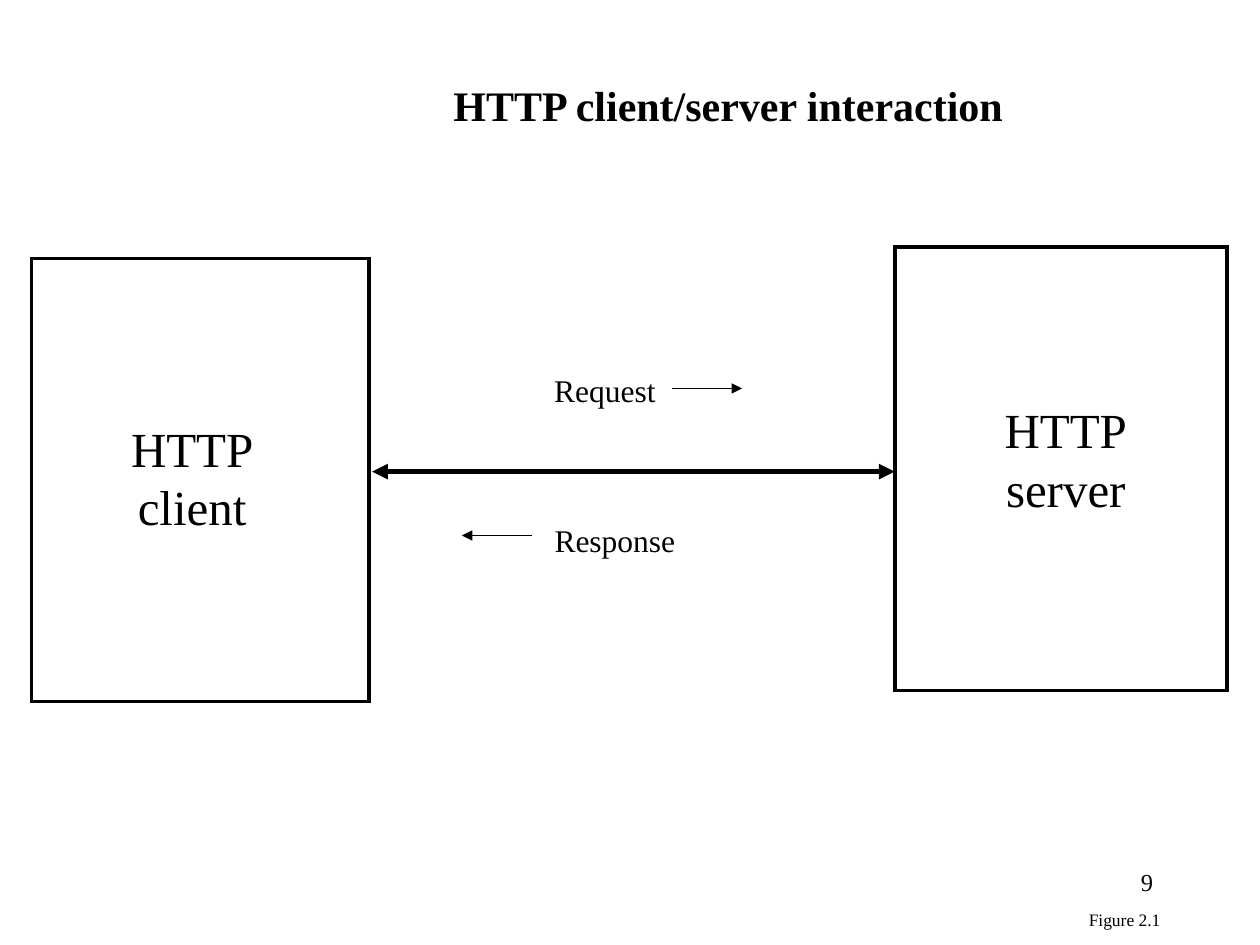
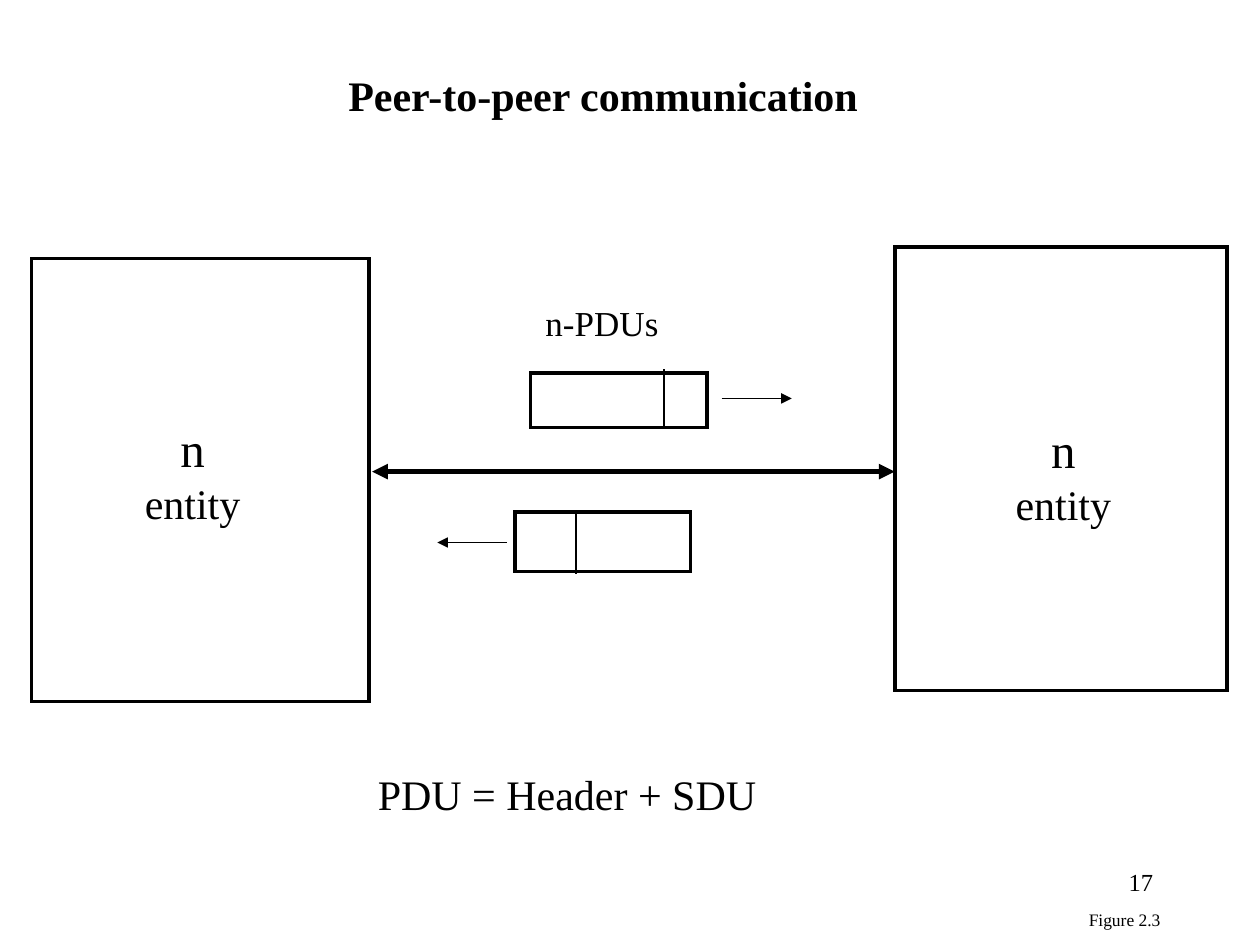
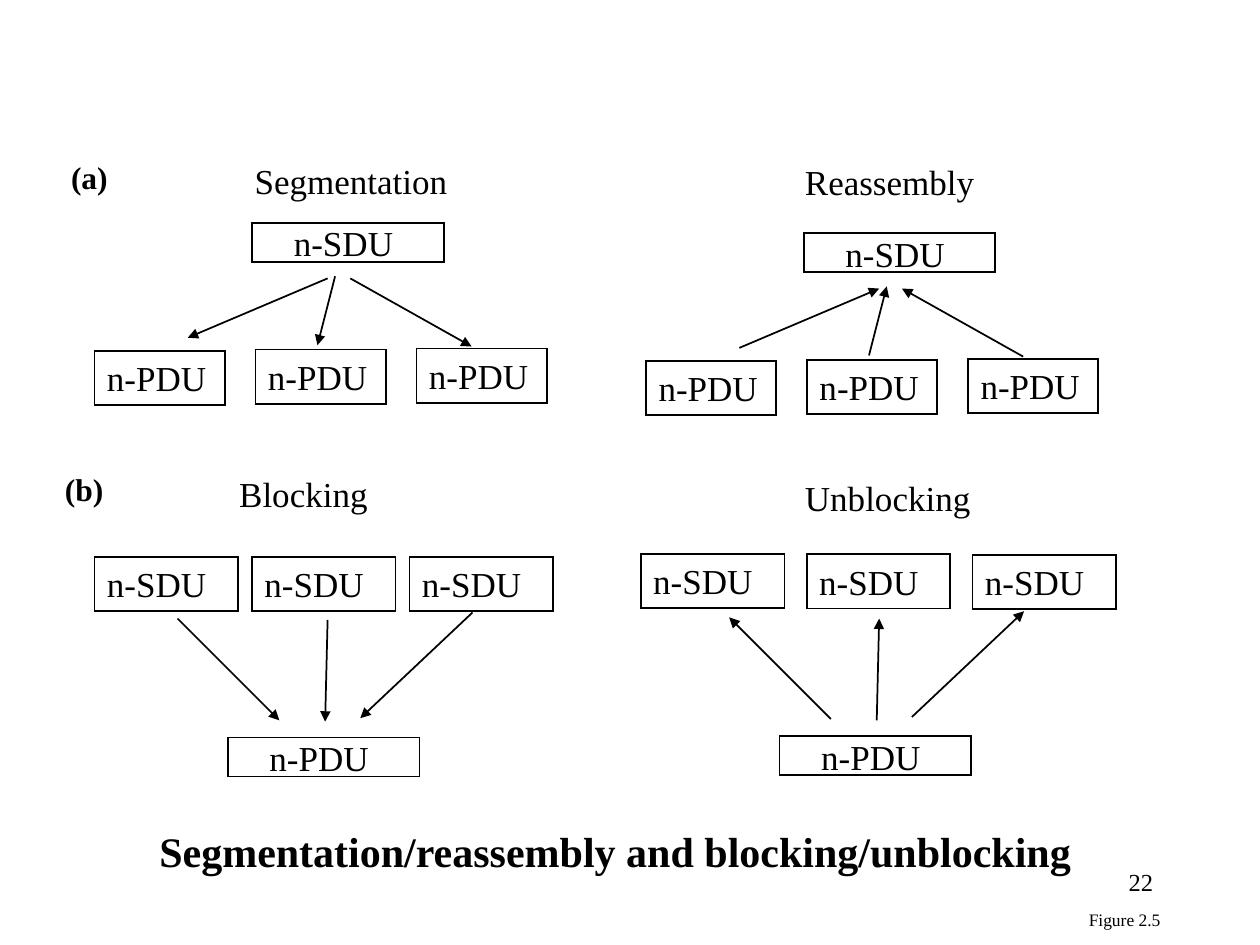
from lxml import etree
from pptx import Presentation
from pptx.dml.color import RGBColor
from pptx.enum.shapes import MSO_CONNECTOR, MSO_SHAPE
from pptx.enum.text import MSO_ANCHOR, MSO_AUTO_SIZE, PP_ALIGN
from pptx.oxml.ns import qn
from pptx.util import Pt

BLACK = RGBColor(0, 0, 0)
WHITE = RGBColor(255, 255, 255)
FONT = "Times New Roman"
LEFT, CENTER, RIGHT = PP_ALIGN.LEFT, PP_ALIGN.CENTER, PP_ALIGN.RIGHT
TOP, MIDDLE = MSO_ANCHOR.TOP, MSO_ANCHOR.MIDDLE
RECT, STRAIGHT = MSO_SHAPE.RECTANGLE, MSO_CONNECTOR.STRAIGHT
GROW, FIXED = MSO_AUTO_SIZE.SHAPE_TO_FIT_TEXT, MSO_AUTO_SIZE.NONE


def put(s, x, y, w, h, text="", sizes=(20,), bold=False, align=LEFT, anchor=TOP,
        before=None, wrap=False, border=None, fill=None, alpha=None):
    """Place text, in an outlined rectangle if a border width is given."""
    frame = tuple(Pt(v) for v in (x, y, w, h))
    if border:
        sp = s.shapes.add_shape(RECT, *frame)
        sp.shadow.inherit = False
        sp.line.color.rgb = BLACK
        sp.line.width = Pt(border)
        etree.SubElement(sp.line._get_or_add_ln(), qn("a:miter"), lim="800000")
        if fill is None:
            sp.fill.background()
        else:
            sp.fill.solid()
            sp.fill.fore_color.rgb = fill
            if alpha:
                color = sp._element.spPr.find(".//" + qn("a:srgbClr"))
                etree.SubElement(color, qn("a:alpha"), val=str(alpha * 1000))
    else:
        sp = s.shapes.add_textbox(*frame)
    if not text:
        return
    tf = sp.text_frame
    tf.word_wrap = wrap
    tf.auto_size = FIXED if border else GROW
    tf.vertical_anchor = anchor
    for i, part in enumerate(text.split("\n")):
        p = tf.add_paragraph() if i else tf.paragraphs[0]
        p.alignment = align
        if before:
            p.space_before = Pt(before)
        r = p.add_run()
        r.text = part
        r.font.name = FONT
        r.font.size = Pt(sizes[min(i, len(sizes) - 1)])
        r.font.bold = bold
        r.font.color.rgb = BLACK


def line(s, x1, y1, x2, y2, width=1, ends=()):
    """Draw a line; ends lists headEnd (start) and tailEnd (finish)."""
    c = s.shapes.add_connector(STRAIGHT, Pt(x1), Pt(y1), Pt(x2), Pt(y2))
    c.line.color.rgb = BLACK
    c.line.width = Pt(width)
    for end in ends:
        etree.SubElement(c.line._get_or_add_ln(), qn("a:" + end), type="triangle")
    etree.SubElement(c._element.spPr, qn("a:effectLst"))


prs = Presentation()
prs.slide_width, prs.slide_height = Pt(720), Pt(540)

# Titles and footers
slides = []
for title, x, y, w, number, figure in [
    ("HTTP client/server interaction", 252, 42, 334, "9", "Figure 2.1"),
    ("Peer-to-peer communication", 192, 36, 310, "17", "Figure 2.3"),
    ("Segmentation/reassembly and blocking/unblocking", 84, 468, 540, "22", "Figure 2.5"),
]:
    s = prs.slides.add_slide(prs.slide_layouts[6])
    put(s, x, y, w, 36, title, sizes=(24,), bold=True)
    put(s, 516, 492, 150, 36, number, sizes=(14,), align=RIGHT, wrap=True)
    put(s, 612.6, 515.8, 60, 19.4, figure, sizes=(10,), align=CENTER,
        anchor=MIDDLE, before=6.2)
    slides.append(s)
http, peer, units = slides

# Two parties joined by a double arrow
for s, fill in [(http, None), (peer, WHITE)]:
    put(s, 18, 147.8, 193, 253.2, border=2, fill=fill)
    put(s, 511.4, 141.3, 189.8, 253.2, border=2, fill=fill)
    line(s, 212.6, 269.5, 511.2, 269.5, width=3, ends=("headEnd", "tailEnd"))

# Slide 1: request and response
put(http, 64.8, 235.4, 90, 74.2, "HTTP\nclient", sizes=(28,), align=CENTER)
put(http, 564, 225, 90, 74.2, "HTTP\nserver", sizes=(28,), align=CENTER)
put(http, 309.6, 208.6, 78, 28.8, "Request", sizes=(18,))
put(http, 301.4, 294, 100, 28.8, "Response", sizes=(18,), align=CENTER,
    anchor=MIDDLE, before=11.2, wrap=True)
line(http, 384, 222, 424, 222, ends=("tailEnd",))
line(http, 264, 306, 304, 306, ends=("headEnd",))

# Slide 2: entities and the PDUs between them
for x, y in [(72.6, 235.6), (570.2, 236.2)]:
    put(peer, x, y, 75, 69.1, "n\nentity", sizes=(28, 24), align=CENTER)
put(peer, 304.6, 168.5, 84, 31, "n-PDUs")
for x, y, w, h in [(303.1, 213.3, 100.8, 31), (294.4, 292.5, 100.1, 34)]:
    put(peer, x, y, w, h, border=2, fill=WHITE, alpha=50)
line(peer, 379.4, 211, 379.4, 244.1)
line(peer, 329, 292.3, 329, 328.3)
line(peer, 412.4, 227.7, 452.4, 227.7, ends=("tailEnd",))
line(peer, 250, 310, 290, 310, ends=("headEnd",))
put(peer, 208.8, 435.6, 236, 36, "PDU = Header + SDU", sizes=(24,))

# Slide 3: row labels
for label, x, y in [("(a)", 28.6, 86.8), ("(b)", 25.6, 265)]:
    put(units, x, y, 45, 28.8, label, sizes=(18,), bold=True, align=CENTER,
        anchor=MIDDLE, before=11.2)

# (a) One SDU above three PDUs; the right half reverses the arrows
for heading, hx, hy, hw, dx, dy, end in [
    ("Segmentation", 138.4, 87.8, 130, 0, 0, "tailEnd"),
    ("Reassembly", 452.9, 88.4, 116, 315.2, 5.8, "headEnd"),
]:
    put(units, hx, hy, hw, 31, heading)
    put(units, 144.2 + dx, 127.4 + dy, 109.4, 22.3, border=1)
    put(units, 160.8 + dx, 123.3 + dy, 76, 31, "n-SDU")
    for i in range(3):
        put(units, 54 + 92 * i + dx, 200.4 - 0.6 * i + dy, 74.4, 31, "n-PDU",
            anchor=MIDDLE, border=1)
    for x1, y1, x2, y2 in [(187.2, 159.1, 107.3, 193), (191.5, 157.9, 181.4, 197.3),
                           (200.2, 159.1, 269.5, 198)]:
        line(units, x1 + dx, y1 + dy, x2 + dx, y2 + dy, ends=(end,))

# (b) Three SDUs above one PDU; the right half reverses the arrows
for heading, hx, hy, hw, x, step, y, rise, dx, dy, end in [
    ("Blocking", 129.6, 266.4, 94, 54, 90, 318.2, 0, 0, 0, "tailEnd"),
    ("Unblocking", 452.9, 268.6, 114, 366.2, 94.8, 316.4, 0.3, 315.2, -0.7, "headEnd"),
]:
    put(units, hx, hy, hw, 31, heading)
    for i in range(3):
        put(units, x + step * i, y + rise * i, 82.1, 31, "n-SDU",
            anchor=MIDDLE, border=1)
    put(units, 130.3 + dx, 421.4 + dy, 109.4, 22.3, border=1)
    put(units, 146.9 + dx, 417.6 + dy, 76, 31, "n-PDU")
    for x1, y1, x2, y2 in [(101.5, 353.5, 159.6, 411.6), (187.2, 354.2, 185.8, 412.4),
                           (270, 350, 205.9, 410.4)]:
        line(units, x1 + dx, y1 + dy, x2 + dx, y2 + dy, ends=(end,))

prs.save("out.pptx")
